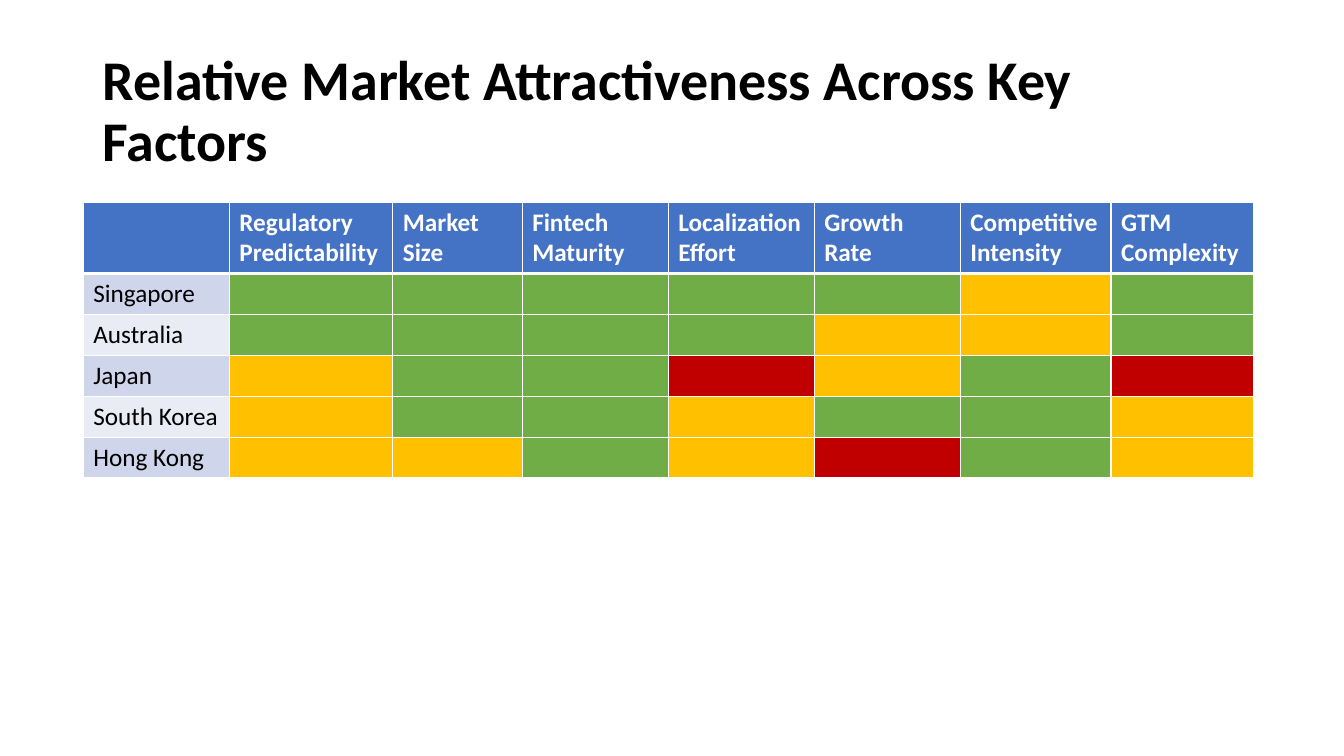
from dataclasses import dataclass

from lxml import etree
from pptx import Presentation
from pptx import util as u
from pptx.dml.color import RGBColor
from pptx.enum import text
from pptx.oxml import ns


@dataclass(frozen=True)
class Theme:
    font: str = "Calibri"
    title_size: int = 40
    table_size: int = 18
    dark: str = "000000"
    light: str = "FFFFFF"
    header: str = "4472C4"
    bands: tuple = ("CFD5EA", "E9EBF5")
    good: str = "70AD47"
    medium: str = "FFC000"
    poor: str = "C00000"
    thin: int = 1
    thick: int = 3


FACTORS = ["Regulatory Predictability", "Market Size", "Fintech Maturity",
           "Localization Effort", "Growth Rate", "Competitive Intensity",
           "GTM Complexity"]
# One letter per factor: G good, M medium, P poor
RATINGS = {
    "Singapore": "GGGGGMG",
    "Australia": "GGGGMMG",
    "Japan": "MGGPMGP",
    "South Korea": "MGGMGGM",
    "Hong Kong": "MMGMPGM",
}
COLUMN_WIDTHS = [3.68, 4.12, 3.26, 3.68, 3.68, 3.68, 3.8, 3.58]
ROW_HEIGHT = 1.03


class SlideBuilder:
    def __init__(self, slide, theme):
        self.slide = slide
        self.theme = theme

    def format_font(self, font, size, color, bold):
        values = {"name": self.theme.font, "size": u.Pt(size), "bold": bold}
        for name, value in values.items():
            setattr(font, name, value)
        font.color.rgb = RGBColor.from_string(color)

    def title(self, wording, left, top, width, height):
        heading = self.slide.shapes.title
        place = {"left": left, "top": top, "width": width, "height": height}
        for name, value in place.items():
            setattr(heading, name, u.Cm(value))
        frame = heading.text_frame
        frame.text = wording
        frame.word_wrap = True
        frame.auto_size = text.MSO_AUTO_SIZE.NONE
        frame.vertical_anchor = text.MSO_ANCHOR.MIDDLE
        paragraph = frame.paragraphs[0]
        paragraph.alignment = text.PP_ALIGN.LEFT
        paragraph.line_spacing = 0.9
        self.format_font(paragraph.runs[0].font, self.theme.title_size,
                         self.theme.dark, True)

    def borders(self, cell, **weights):
        properties = cell._tc.get_or_add_tcPr()
        for side in "LRTB":
            weight = weights.get(side, self.theme.thin)
            line = etree.SubElement(properties, ns.qn(f"a:ln{side}"),
                                    w=str(u.Pt(weight)))
            fill = etree.SubElement(line, ns.qn("a:solidFill"))
            etree.SubElement(fill, ns.qn("a:srgbClr"), val=self.theme.light)

    def cell(self, cell, fill, wording="", color=None, bold=False, **weights):
        self.borders(cell, **weights)
        cell.fill.solid()
        cell.fill.fore_color.rgb = RGBColor.from_string(fill)
        paragraph = cell.text_frame.paragraphs[0]
        if wording:
            run = paragraph.add_run()
            run.text = wording
            self.format_font(run.font, self.theme.table_size, color, bold)

    def heatmap(self, factors, ratings, left, top):
        theme = self.theme
        rows = len(ratings) + 1
        table = self.slide.shapes.add_table(
            rows, len(COLUMN_WIDTHS), u.Cm(left), u.Cm(top),
            u.Cm(sum(COLUMN_WIDTHS)), u.Cm(ROW_HEIGHT * rows)).table
        for column, width in zip(table.columns, COLUMN_WIDTHS):
            column.width = u.Cm(width)

        # Header row
        for column, factor in enumerate(["", *factors]):
            self.cell(table.cell(0, column), theme.header, factor,
                      theme.light, True, B=theme.thick)

        # Market rows
        colors = {"G": theme.good, "M": theme.medium, "P": theme.poor}
        for row, (market, scores) in enumerate(ratings.items(), start=1):
            top_weight = theme.thick if row == 1 else theme.thin
            band = theme.bands[(row - 1) % 2]
            self.cell(table.cell(row, 0), band, market, theme.dark,
                      T=top_weight)
            for column, score in enumerate(scores, start=1):
                self.cell(table.cell(row, column), colors[score],
                          T=top_weight)


def main():
    deck = Presentation()
    deck.slide_width, deck.slide_height = u.Cm(33.87), u.Cm(19.05)
    slide = deck.slides.add_slide(deck.slide_layouts[5])
    builder = SlideBuilder(slide, Theme())
    builder.title("Relative Market Attractiveness Across Key Factors",
                  2.33, 1.01, 29.21, 3.68)
    builder.heatmap(FACTORS, RATINGS, 2.1, 5.09)
    deck.save("out.pptx")


if __name__ == "__main__":
    main()
